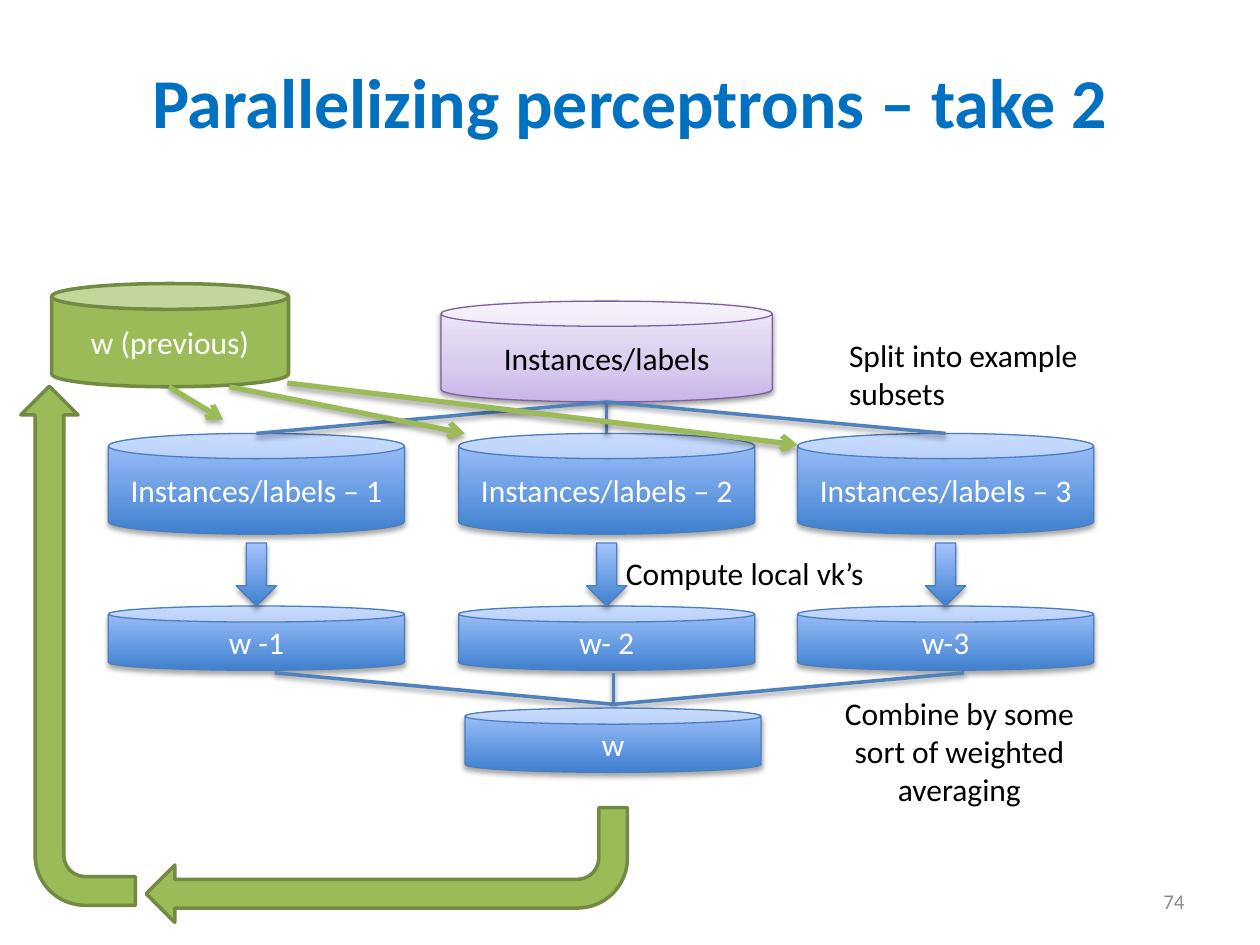
from lxml import etree
from pptx import Presentation
from pptx.dml.color import RGBColor
from pptx.enum.shapes import MSO_CONNECTOR, MSO_SHAPE
from pptx.enum.text import MSO_ANCHOR, PP_ALIGN
from pptx.oxml.ns import qn
from pptx.util import Inches, Pt

CAN, DOWN, BENT = MSO_SHAPE.CAN, MSO_SHAPE.DOWN_ARROW, MSO_SHAPE.BENT_ARROW
LEFT, MID, RIGHT = PP_ALIGN.LEFT, PP_ALIGN.CENTER, PP_ALIGN.RIGHT
TOP, CENTER = MSO_ANCHOR.TOP, MSO_ANCHOR.MIDDLE

BLUE = [(0, "3F80CE"), (100, "A4C4FF")]
LILAC = [(0, "C9B5E8"), (35, "D8CBEE"), (100, "F0EAF9")]
GREEN = "9BBB59"
SOFT, DEEP = (35, 1.8), (38, 1.6)
COLS, WIDE, TALL, LOW = (0.86, 3.64, 6.33), 2.35, 0.8, 0.51
MIDS = [x + WIDE / 2 for x in COLS]
SPLIT, LOCAL, STEP, MERGE = 3.44, 4.81, 4.31, 5.62

PARTS = ["Instances/labels – 1", "Instances/labels – 2", "Instances/labels – 3"]
LOCALS = ["w -1", "w- 2", "w-3"]
NOTES = [
    ("Split into example subsets", (6.64, 2.62, 2.22, 0.58), LEFT, True),
    ("Combine by some sort of weighted averaging", (6.55, 5.46, 2.13, 0.83), MID, True),
    ("Compute local vk’s", (4.87, 4.35, 2.36, 0.4), LEFT, False),
]
LOOPS = [((1.16, 6.41, 3.82, 0.91), 180), ((-1.44, 4.67, 4.12, 0.91), 270)]
FEEDS = [((1.34, 3.07), (1.77, 3.33)), ((1.82, 3.07), (3.69, 3.44)),
         ((2.28, 3.04), (6.33, 3.53))]


def rgb(code):
    """Turn a hex string into a colour."""
    return RGBColor.from_string(code)


def node(up, tag, **attrs):
    """Add a drawing element below another."""
    kid = etree.SubElement(up, qn("a:" + tag))
    for key, val in attrs.items():
        kid.set(key, str(val))
    return kid


def shade(item, look):
    """Give a shape or connector its drop shadow, or none."""
    prop = item._element.spPr
    for old in prop.findall(qn("a:effectLst")):
        prop.remove(old)
    box = node(prop, "effectLst")
    if look:
        alpha, dist = look
        drop = node(box, "outerShdw", blurRad=Pt(3.1), dist=Pt(dist),
                    dir=5400000, rotWithShape=0)
        tint = node(drop, "srgbClr", val="000000")
        node(tint, "alpha", val=alpha * 1000)


def blend(shape, stops):
    """Fill a shape with a gradient that rises from its base."""
    shape.fill.gradient()
    shape.fill.gradient_angle = 90
    ramp = shape._element.spPr.find(qn("a:gradFill")).find(qn("a:gsLst"))
    for old in list(ramp):
        ramp.remove(old)
    for pos, code in stops:
        node(node(ramp, "gs", pos=pos * 1000), "srgbClr", val=code)


def write(shape, text, size=18, color="000000", align=MID, anchor=CENTER,
          wrap=True, bold=False):
    """Put one formatted paragraph into a shape."""
    frame = shape.text_frame
    frame.word_wrap, frame.vertical_anchor = wrap, anchor
    para = frame.paragraphs[0]
    para.text, para.alignment = text, align
    look = {"name": "Calibri", "size": Pt(size), "bold": bold}
    for key, val in look.items():
        setattr(para.font, key, val)
    para.font.color.rgb = rgb(color)


def label(slide, text, at, **look):
    """Add a text box."""
    write(slide.shapes.add_textbox(*map(Inches, at)), text, **look)


def block(slide, kind, at, text="", fill=BLUE, edge="4B7EBC", width=0.75,
          color="FFFFFF", look=SOFT, turn=0):
    """Add a filled shape with its text."""
    shape = slide.shapes.add_shape(kind, *map(Inches, at))
    shape.rotation = turn
    if isinstance(fill, str):
        shape.fill.solid()
        shape.fill.fore_color.rgb = rgb(fill)
    else:
        blend(shape, fill)
    shape.line.color.rgb, shape.line.width = rgb(edge), Pt(width)
    shade(shape, look)
    if text:
        write(shape, text, color=color)


def link(slide, start, end, color="4F81BD", width=2, look=DEEP, head=False):
    """Add a straight line, with an arrowhead if asked."""
    line = slide.shapes.add_connector(
        MSO_CONNECTOR.STRAIGHT, *map(Inches, (*start, *end)))
    line.line.color.rgb, line.line.width = rgb(color), Pt(width)
    if head:
        node(line.line._get_or_add_ln(), "tailEnd", type="arrow")
    shade(line, look)


def main():
    """Build the slide and save it."""
    deck = Presentation()
    deck.slide_width, deck.slide_height = Inches(10), Inches(7.5)
    slide = deck.slides.add_slide(deck.slide_layouts[6])
    label(slide, "Parallelizing perceptrons – take 2", (0.5, 0.3, 9, 0.99),
          size=40, color="0070C0", bold=True)

    block(slide, CAN, (3.5, 2.39, 2.63, TALL), "Instances/labels",
          fill=LILAC, edge="7D60A0", color="000000", look=DEEP)
    for x, text in zip(COLS, PARTS):
        block(slide, CAN, (x, SPLIT, WIDE, TALL), text)
    for mid in MIDS:
        link(slide, (MIDS[1], 3.19), (mid, SPLIT))
    for x, text in zip(COLS, LOCALS):
        block(slide, CAN, (x, LOCAL, WIDE, LOW), text)
    for mid in MIDS:
        block(slide, DOWN, (mid - 0.16, STEP, 0.32, LOCAL - STEP))
    for x in (4.87, 2.18, 7.65):
        link(slide, (4.87, 5.59), (x, 5.34))
    block(slide, CAN, (3.69, MERGE, WIDE, LOW), "w")

    for text, at, align, wrap in NOTES:
        label(slide, text, at, align=align, anchor=TOP, wrap=wrap)

    plain = {"fill": GREEN, "edge": "738A42", "width": 2, "look": None}
    for at, turn in LOOPS:
        block(slide, BENT, at, turn=turn, **plain)
    block(slide, CAN, (0.41, 2.25, 1.88, 0.82), "w (previous)", **plain)
    for start, end in FEEDS:
        link(slide, start, end, GREEN, 3, SOFT, head=True)
    label(slide, "74", (7.17, 6.95, 2.33, 0.4), size=12, color="8C8C8C", align=RIGHT)
    deck.save("out.pptx")


if __name__ == "__main__":
    main()
